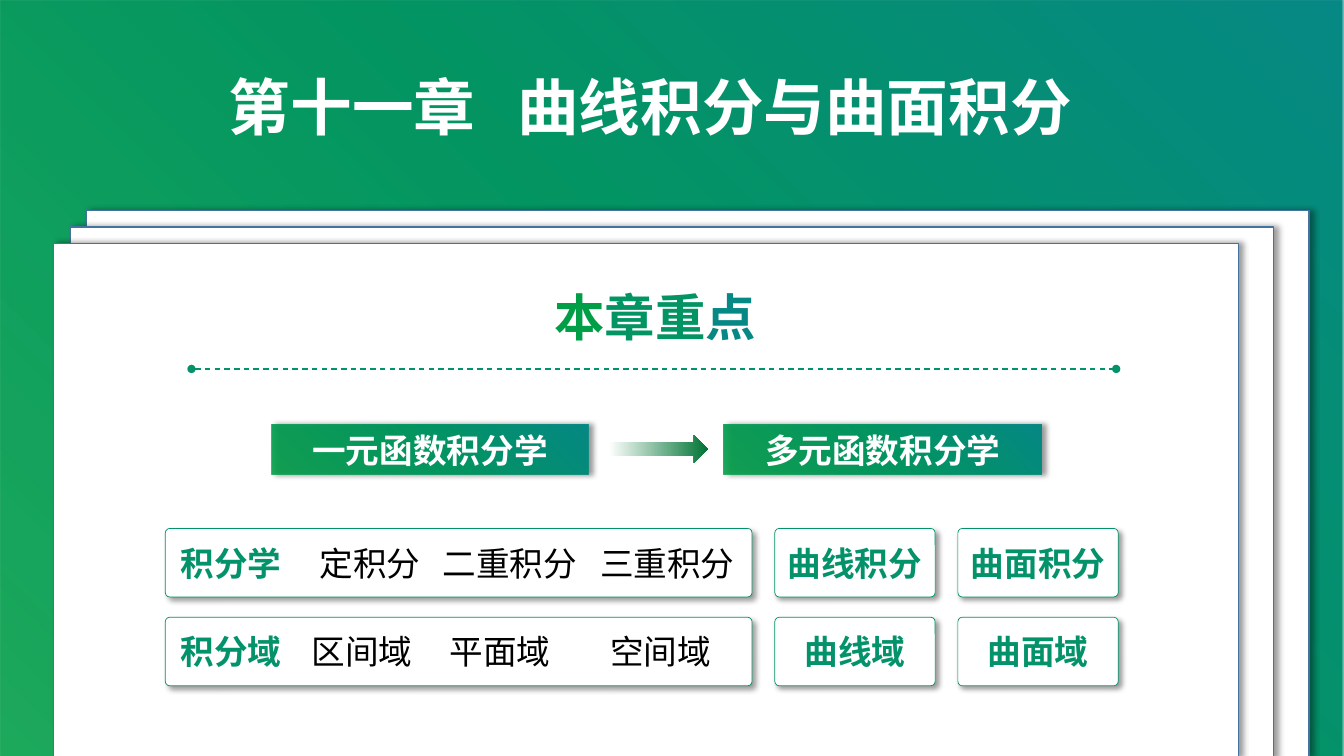
import pptx
import pptx.util
import pptx.dml.color
import pptx.enum.dml
import pptx.enum.shapes
import pptx.enum.text
import pptx.oxml
import pptx.oxml.ns

WIDTH, HEIGHT = pptx.util.Inches(13.33), pptx.util.Inches(7.5)
COLORS = {
    "white": "FFFFFF", "black": "000000", "green": "04926A", "border": "43739E",
    "leaf": "009E47", "emerald": "039463", "teal": "068885", "arrow": "007434",
}
BRAND_STOPS = [(0, "leaf", 88), (55, "emerald", 100), (100, "teal", 100)]
BRAND_PATH = '<a:path path="circle"><a:fillToRect t="100000" r="100000"/></a:path>'
ARROW_STOPS = [(4, "white", 100), (100, "arrow", 100)]
ARROW_PATH = '<a:lin ang="0" scaled="1"/>'
SHAPE = pptx.enum.shapes.MSO_SHAPE
ALIGN = pptx.enum.text.PP_ALIGN


# Lengths are percentages of the slide's width and height
def across(share):
    return round(WIDTH * share / 100)


def down(share):
    return round(HEIGHT * share / 100)


def area(left, top, width, height):
    return across(left), down(top), across(width), down(height)


def rgb(color):
    return pptx.dml.color.RGBColor.from_string(COLORS[color])


def element(markup):
    head, rest = markup.split(">", 1) if not markup.endswith("/>") else (markup[:-2], None)
    head += " " + pptx.oxml.ns.nsdecls("a")
    return pptx.oxml.parse_xml(head + "/>" if rest is None else head + ">" + rest)


# Shapes
def add_gradient(shape, stops, course):
    marks = "".join(
        f'<a:gs pos="{pos * 1000}"><a:srgbClr val="{COLORS[color]}">'
        f'<a:alpha val="{alpha * 1000}"/></a:srgbClr></a:gs>'
        for pos, color, alpha in stops)
    shape.fill.background()
    properties = shape._element.spPr
    properties.replace(
        properties.find(pptx.oxml.ns.qn("a:noFill")),
        element(f'<a:gradFill rotWithShape="1"><a:gsLst>{marks}</a:gsLst>{course}</a:gradFill>'))


def add_shadow(shape, angle):
    effects = shape._element.spPr.find(pptx.oxml.ns.qn("a:effectLst"))
    effects.append(element(
        f'<a:outerShdw blurRad="{pptx.util.Pt(4)}" dist="{pptx.util.Pt(3)}" '
        f'dir="{angle * 60000}" algn="tl" rotWithShape="0"><a:srgbClr val="{COLORS["black"]}">'
        '<a:alpha val="40000"/></a:srgbClr></a:outerShdw>'))


def add_panel(slide, kind, place, border=None, border_width=1, shadow_angle=None):
    panel = slide.shapes.add_shape(kind, *area(*place))
    panel.shadow.inherit = False
    panel.fill.solid()
    panel.fill.fore_color.rgb = rgb("white")
    if border:
        panel.line.color.rgb = rgb(border)
        panel.line.width = pptx.util.Pt(border_width)
    else:
        panel.line.fill.background()
    if shadow_angle is not None:
        add_shadow(panel, shadow_angle)
    return panel


# Text: each run is (wording, colour, bold); tab stops are in percent of the width
def write(shape, runs, size, align=ALIGN.CENTER, font="Calibri", stops=()):
    frame = shape.text_frame
    frame.word_wrap = True
    frame.vertical_anchor = pptx.enum.text.MSO_ANCHOR.MIDDLE
    frame.margin_top = frame.margin_bottom = 0
    paragraph = frame.paragraphs[0]
    paragraph.alignment = align
    if stops:
        tabs = "".join(f'<a:tab pos="{across(stop)}" algn="l"/>' for stop in stops)
        paragraph._p.get_or_add_pPr().append(element(f"<a:tabLst>{tabs}</a:tabLst>"))
    for wording, color, bold in runs:
        run = paragraph.add_run()
        run.text = wording
        run.font.size = pptx.util.Pt(size)
        run.font.bold = bold
        run.font.name = font
        run.font.color.rgb = rgb(color)
        run._r.get_or_add_rPr().append(element('<a:ea typeface="Noto Sans CJK SC"/>'))


def add_heading(slide, place, runs, size, **layout):
    heading = slide.shapes.add_textbox(*area(*place))
    write(heading, runs, size, font="Noto Sans CJK SC", **layout)


def add_divider(slide, left, right, level):
    divider = slide.shapes.add_connector(
        pptx.enum.shapes.MSO_CONNECTOR.STRAIGHT,
        across(left), down(level), across(right), down(level))
    divider.line.color.rgb = rgb("green")
    divider.line.width = pptx.util.Pt(1)
    divider.line.dash_style = pptx.enum.dml.MSO_LINE.DASH
    outline = divider.line._get_or_add_ln()
    for end in ("headEnd", "tailEnd"):
        outline.append(element(f'<a:{end} type="oval"/>'))
    divider._element.spPr.append(element("<a:effectLst/>"))


def add_topic(slide, left, wording):
    topic = add_panel(slide, SHAPE.RECTANGLE, (left, 56.13, 23.63, 6.67), shadow_angle=0)
    add_gradient(topic, BRAND_STOPS, BRAND_PATH)
    write(topic, [(wording, "white", True)], 24)


def add_card(slide, left, row, width, runs, inset=0, **layout):
    card = add_panel(slide, SHAPE.ROUNDED_RECTANGLE, (left, 69.9 + 11.75 * row, width, 9.07),
                     "green", 0.5, 45)
    card.adjustments[0] = 0.065
    card.text_frame.margin_left = across(inset)
    card.text_frame.margin_right = 0
    write(card, runs, 24, **layout)


def main():
    deck = pptx.Presentation()
    deck.slide_width, deck.slide_height = WIDTH, HEIGHT
    slide = deck.slides.add_slide(deck.slide_layouts[6])

    # Backdrop and stacked pages
    backdrop = add_panel(slide, SHAPE.RECTANGLE, (0, 0, 100, 100))
    add_gradient(backdrop, BRAND_STOPS, BRAND_PATH)
    for depth in (2, 1, 0):
        top = 32.18 - 2.15 * depth
        add_panel(slide, SHAPE.RECTANGLE,
                  (4 + 1.22 * depth, top, 88.15 + 1.4 * depth, 100.2 - top),
                  "border", shadow_angle=0)

    # Chapter title and section heading
    add_heading(slide, (16.3, 8.4, 67.4, 11.2), [("第十一章\t曲线积分与曲面积分", "white", True)],
                44, align=ALIGN.LEFT, stops=[21.45])
    add_heading(slide, (38.75, 37.3, 20, 9.2),
                [("本", "leaf", True), ("章重", "emerald", True), ("点", "teal", True)], 36)
    add_divider(slide, 14.25, 83.05, 48.8)

    # From one variable to several
    add_topic(slide, 20.18, "一元函数积分学")
    add_topic(slide, 53.86, "多元函数积分学")
    progress = add_panel(slide, SHAPE.RIGHT_ARROW, (45, 57.6, 7.65, 3.6))
    add_gradient(progress, ARROW_STOPS, ARROW_PATH)

    # Integrals above, their domains below
    rows = [
        ("积分学", ["定积分", "二重积分", "三重积分"], [10.35, 19.5, 31.2], ["曲线积分", "曲面积分"]),
        ("积分域", ["区间域", "平面域", "空间域"], [9.75, 20, 31.95], ["曲线域", "曲面域"]),
    ]
    for row, (label, known, stops, new) in enumerate(rows):
        add_card(slide, 12.3, row, 43.66,
                 [(label, "green", True), ("\t" + "\t".join(known), "black", False)],
                 inset=1.05, align=ALIGN.LEFT, stops=stops)
        for column, wording in enumerate(new):
            add_card(slide, 57.65 + 13.62 * column, row, 11.93, [(wording, "green", True)])

    deck.save("out.pptx")


if __name__ == "__main__":
    main()
